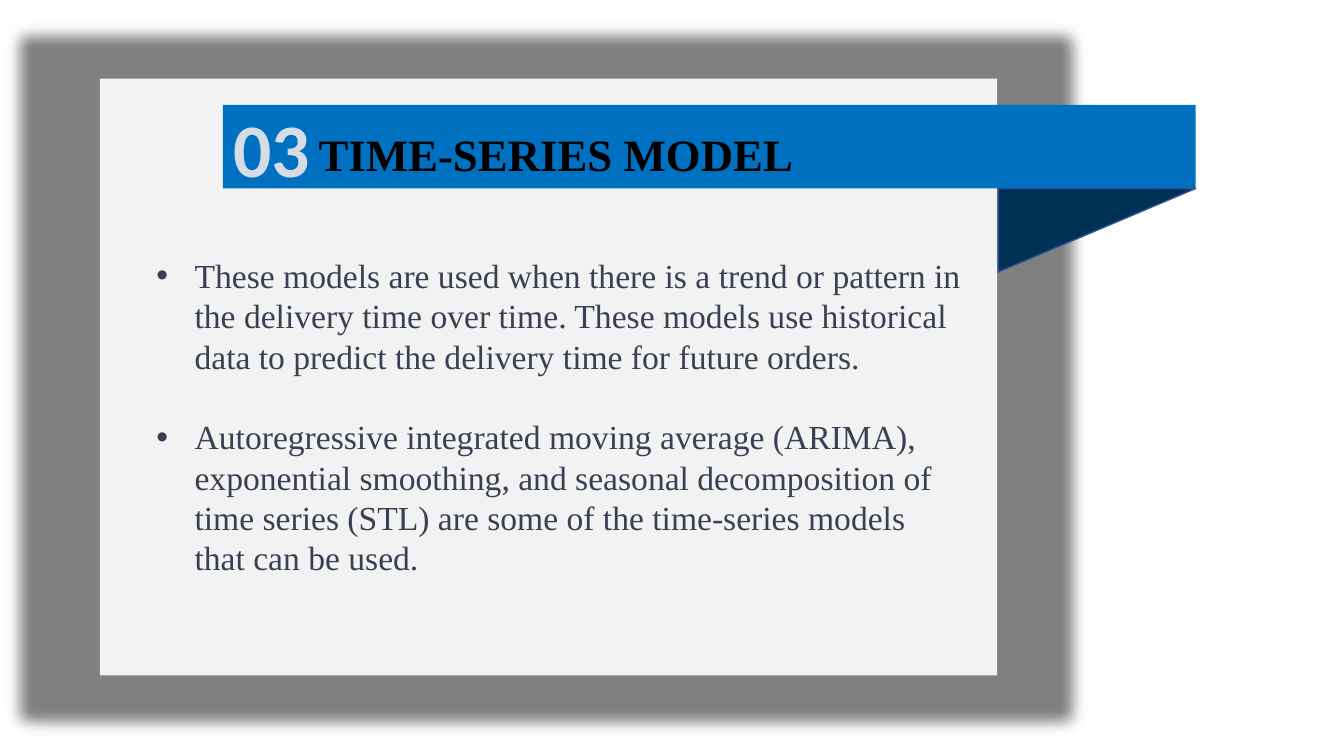
from lxml.etree import SubElement
from pptx import Presentation
from pptx.dml.color import RGBColor
from pptx.enum.shapes import MSO_SHAPE
from pptx.enum.text import MSO_ANCHOR, MSO_AUTO_SIZE, PP_ALIGN
from pptx.oxml.ns import qn
from pptx.util import Inches, Pt

COLORS = {
    "frame": "808080", "panel": "F2F2F2", "ribbon": "0070C0",
    "fold": "003258", "fold_edge": "325491", "number": "D6DCE5",
    "title": "000000", "body": "374151",
}
SERIF = "Times New Roman"
POINTS = [
    "These models are used when there is a trend or pattern in the delivery time "
    "over time. These models use historical data to predict the delivery time for "
    "future orders.",
    "Autoregressive integrated moving average (ARIMA), exponential smoothing, and "
    "seasonal decomposition of time series (STL) are some of the time-series models "
    "that can be used.",
]


def color(name):
    return RGBColor.from_string(COLORS[name])


def place(shape, left, top, width, height):
    shape.left, shape.top = Inches(left), Inches(top)
    shape.width, shape.height = Inches(width), Inches(height)


def add_block(slide, kind, fill, box, edge=None):
    shape = slide.shapes.add_shape(kind, *map(Inches, box))
    shape.shadow.inherit = False
    shape.fill.solid()
    shape.fill.fore_color.rgb = color(fill)
    if edge:
        shape.line.color.rgb = color(edge)
        shape.line.width = Pt(1)
    else:
        shape.line.fill.background()
    return shape


def write(shape, lines, size, font, fill, bold=False, align=PP_ALIGN.LEFT, wrap=True):
    """Fill a text shape, one paragraph per line, and return the paragraphs."""
    frame = shape.text_frame
    frame.text = "\n".join(lines)
    frame.word_wrap = wrap
    frame.auto_size = MSO_AUTO_SIZE.NONE
    frame.vertical_anchor = MSO_ANCHOR.TOP
    for para in frame.paragraphs:
        para.alignment = align
        para.space_before = Pt(0)
        for span in para.runs:
            span.font.size, span.font.name, span.font.bold = Pt(size), font, bold
            span.font.color.rgb = color(fill)
    return frame.paragraphs


def bring_to_front(slide, shape):
    slide.shapes._spTree.append(shape._element)


def add_panel(slide, left, top, width, height):
    """Soft-edged frame with a light panel inside."""
    frame = add_block(slide, MSO_SHAPE.RECTANGLE, "frame", (left, top, width, height))
    effects = frame._element.spPr.find(qn("a:effectLst"))
    SubElement(effects, qn("a:softEdge"), rad=str(Pt(12.5)))
    add_block(slide, MSO_SHAPE.RECTANGLE, "panel",
              (left + 0.99, top + 0.63, width - 1.96, height - 1.31))


def add_ribbon(slide, number, title, left, top, width, height):
    """Title ribbon whose right end folds back behind the panel."""
    add_block(slide, MSO_SHAPE.RECTANGLE, "ribbon", (left, top, width, height))
    fold_width = 1.96
    fold = add_block(slide, MSO_SHAPE.RIGHT_TRIANGLE, "fold",
                     (left + width - fold_width, top + height, fold_width, height),
                     "fold_edge")
    fold._element.spPr.find(qn("a:xfrm")).set("flipV", "1")

    heading = slide.shapes.title
    place(heading, left + 0.85, top + 0.17, 6.75, 0.64)
    write(heading, [title], 32, SERIF, "title", bold=True)
    bring_to_front(slide, heading)

    box = (left, top - 0.08, 0.97, 1.01)
    label = slide.shapes.add_textbox(*map(Inches, box))
    write(label, [number], 54, "Calibri", "number", bold=True,
          align=PP_ALIGN.CENTER, wrap=False)


def add_points(slide, points, *box):
    body = slide.placeholders[1]
    place(body, *box)
    line_height, indent = Pt(28.8), Inches(0.38)
    for index, para in enumerate(write(body, points, 24, SERIF, "body")):
        para.line_spacing = line_height
        para.space_before = line_height if index else Pt(0)
        props = para._p.get_or_add_pPr()
        props.set("marL", str(indent))
        props.set("indent", str(-indent))
        SubElement(props, qn("a:buFont"), typeface="Arial")
        SubElement(props, qn("a:buChar"), char="•")
    bring_to_front(slide, body)


def main():
    deck = Presentation()
    deck.slide_width, deck.slide_height = Inches(13.33), Inches(7.5)
    slide = deck.slides.add_slide(deck.slide_layouts[1])
    add_panel(slide, 0, 0.15, 10.86, 7.23)
    add_ribbon(slide, "03", "TIME-SERIES MODEL", 2.21, 1.04, 9.65, 0.83)
    add_points(slide, POINTS, 1.45, 2.48, 8.2, 3.33)
    deck.save("out.pptx")


if __name__ == "__main__":
    main()
